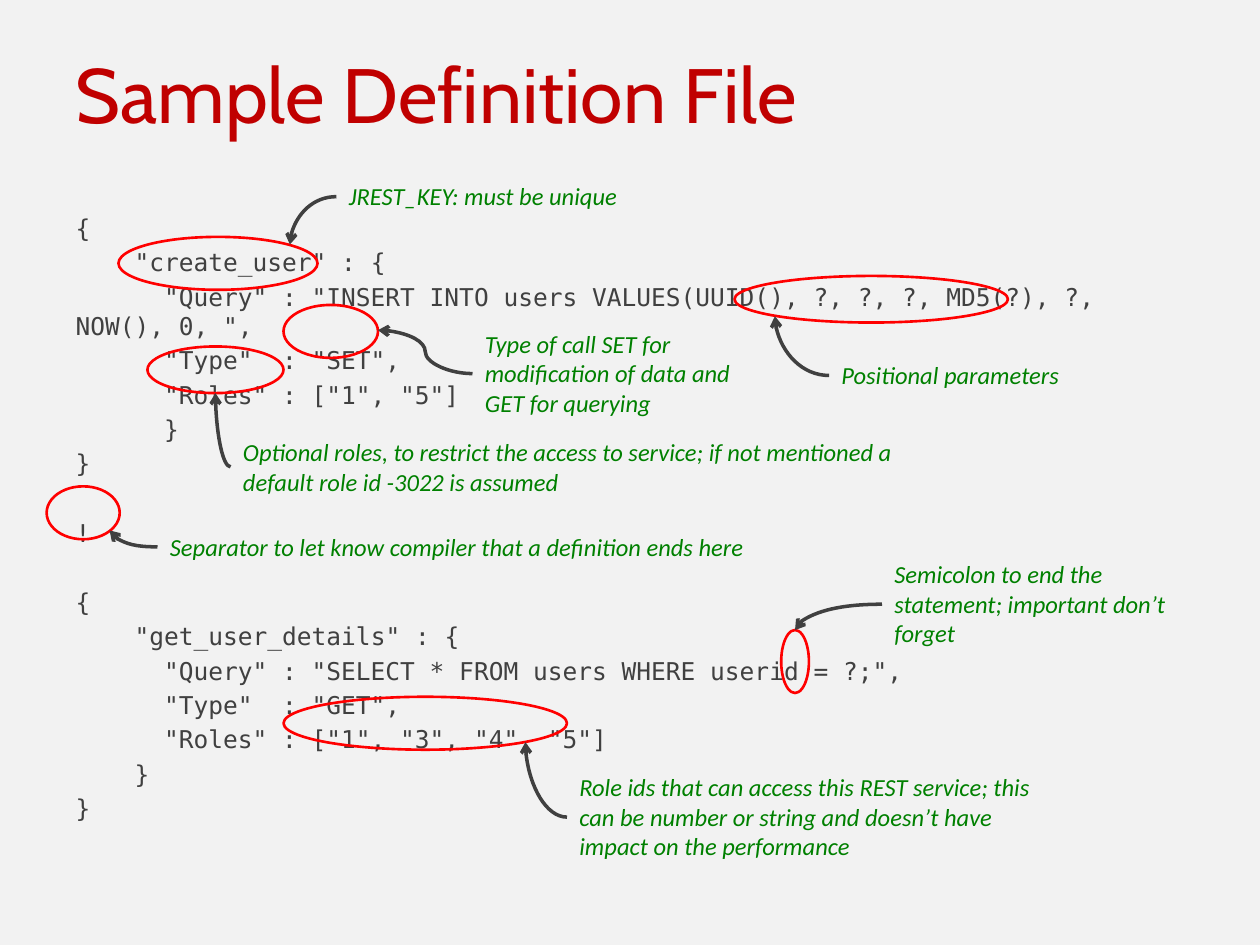
from dataclasses import dataclass

from lxml import etree
from pptx import Presentation
from pptx.dml.color import RGBColor
from pptx.enum import shapes, text
from pptx.oxml import ns
from pptx.util import Inches, Pt


@dataclass(frozen=True)
class Theme:
    background: str = "F2F2F2"
    heading: str = "C00000"
    ink: str = "404040"
    note: str = "008000"
    ring: str = "FF0000"
    heading_font: str = "Cabin"
    code_font: str = "DejaVu Sans Mono"
    note_font: str = "Calibri"
    heading_size: float = 44
    body_size: float = 14
    code_gap: float = 22.8
    code_column: float = 0.117
    ring_width: float = 1.5
    arrow_width: float = 2


def rgb(value):
    return RGBColor.from_string(value)


def place(shape, left, top, width, height):
    shape.left, shape.top = Inches(left), Inches(top)
    shape.width, shape.height = Inches(width), Inches(height)


class AnnotatedSlide:
    def __init__(self, presentation, theme):
        self.theme = theme
        self.slide = presentation.slides.add_slide(presentation.slide_layouts[1])
        fill = self.slide.background.fill
        fill.solid()
        fill.fore_color.rgb = rgb(theme.background)

    def style(self, paragraph, font, size, color, italic=None):
        paragraph.alignment = text.PP_ALIGN.LEFT
        paragraph.font.name = font
        paragraph.font.size = Pt(size)
        paragraph.font.color.rgb = rgb(color)
        paragraph.font.italic = italic

    def title(self, wording, box):
        heading = self.slide.shapes.title
        place(heading, *box)
        heading.text_frame.text = wording
        heading.text_frame.auto_size = text.MSO_AUTO_SIZE.NONE
        heading.text_frame.vertical_anchor = text.MSO_ANCHOR.MIDDLE
        self.style(heading.text_frame.paragraphs[0], self.theme.heading_font,
                   self.theme.heading_size, self.theme.heading)

    def code(self, sections, box):
        listing = self.slide.placeholders[1]
        place(listing, *box)
        frame = listing.text_frame
        frame.auto_size = text.MSO_AUTO_SIZE.NONE
        lines = [(number, *line) for number, section in enumerate(sections) for line in section]
        frame.text = "\n".join(wording for _, _, wording in lines)
        previous = 0
        for paragraph, (section, columns, _) in zip(frame.paragraphs, lines):
            self.style(paragraph, self.theme.code_font, self.theme.body_size, self.theme.ink)
            if section != previous:
                paragraph.space_before = Pt(self.theme.code_gap)
            previous = section
            properties = paragraph._p.get_or_add_pPr()
            properties.set("marL", "0")
            properties.set("indent", str(Inches(columns * self.theme.code_column)))
            properties.insert_element_before(
                properties.makeelement(ns.qn("a:buNone"), {}),
                "a:tabLst", "a:defRPr", "a:extLst")

    def ring(self, left, top, width, height, rotation=0):
        oval = self.slide.shapes.add_shape(
            shapes.MSO_SHAPE.OVAL, Inches(left), Inches(top), Inches(width), Inches(height))
        oval.rotation = rotation
        oval.shadow.inherit = False
        oval.fill.background()
        oval.line.color.rgb = rgb(self.theme.ring)
        oval.line.width = Pt(self.theme.ring_width)

    def note(self, wording, left, top, width, height, target, wrap=True, bend="curvedConnector2"):
        label = self.slide.shapes.add_textbox(
            Inches(left), Inches(top), Inches(width), Inches(height))
        frame = label.text_frame
        frame.text = wording
        frame.word_wrap = wrap
        frame.auto_size = text.MSO_AUTO_SIZE.SHAPE_TO_FIT_TEXT
        self.style(frame.paragraphs[0], self.theme.note_font,
                   self.theme.body_size, self.theme.note, italic=True)
        self.arrow((left, top + height / 2), target, bend)

    def arrow(self, start, end, bend):
        curve = self.slide.shapes.add_connector(
            shapes.MSO_CONNECTOR.CURVE, *(Inches(value) for value in (*start, *end)))
        curve.line.color.rgb = rgb(self.theme.ink)
        curve.line.width = Pt(self.theme.arrow_width)
        properties = curve._element.spPr
        properties.find(ns.qn("a:prstGeom")).set("prst", bend)
        turn = properties.find(ns.qn("a:xfrm"))
        turn.set("rot", "10800000")
        turn.set("flipH", "0")
        turn.set("flipV", "1" if end[1] > start[1] else "0")
        etree.SubElement(curve.line._get_or_add_ln(), ns.qn("a:tailEnd"), type="arrow")
        etree.SubElement(properties, ns.qn("a:effectLst"))


CODE = [
    [
        (0, '{'),
        (4, '"create_user" : {'),
        (6, '"Query" : "INSERT INTO users VALUES(UUID(), ?, ?, ?, MD5(?), ?, NOW(), 0, ",'),
        (6, '"Type"  : "SET",'),
        (6, '"Roles" : ["1", "5"]'),
        (6, '}'),
        (0, '}'),
    ],
    [(0, '!')],
    [
        (0, '{'),
        (4, '"get_user_details" : {'),
        (6, '"Query" : "SELECT * FROM users WHERE userid = ?;",'),
        (6, '"Type"  : "GET",'),
        (6, '"Roles" : ["1", "3", "4", "5"]'),
        (4, '}'),
        (0, '}'),
    ],
]

RINGS = [
    (0.94, 1.88, 1.58, 0.42),
    (6.06, 5.14, 0.5, 0.22, 270),
    (0.37, 3.86, 0.58, 0.42),
    (2.25, 2.42, 0.75, 0.42),
    (1.17, 2.75, 1.08, 0.37),
    (5.83, 2.19, 2.17, 0.37),
    (2.25, 5.53, 2.25, 0.42),
]

NOTES = [
    ("JREST_KEY: must be unique", 2.67, 1.39, 2.41, 0.34, (2.3, 1.94), False),
    ("Positional parameters", 6.58, 2.81, 2, 0.34, (6.15, 2.51), False),
    ("Type of call SET for modification of data and GET for querying",
     3.75, 2.56, 2.5, 0.81, (3, 2.62), True, "curvedConnector3"),
    ("Semicolon to end the statement; important don’t forget",
     7, 4.39, 2.58, 0.81, (6.31, 5)),
    ("Separator to let know compiler that a definition ends here",
     1.25, 4.17, 4.85, 0.34, (0.87, 4.21), False),
    ("Optional roles, to restrict the access to service; if not mentioned a "
     "default role id -3022 is assumed", 1.83, 3.42, 5.42, 0.57, (1.71, 3.12)),
    ("Role ids that can access this REST service; this can be number or string "
     "and doesn’t have impact on the performance", 4.5, 6.08, 3.96, 0.81, (4.17, 5.89)),
]


def main():
    presentation = Presentation()
    presentation.slide_width, presentation.slide_height = Inches(10), Inches(7.5)
    sample = AnnotatedSlide(presentation, Theme())
    sample.title("Sample Definition File", (0.5, 0.3, 9, 0.87))
    sample.code(CODE, (0.5, 1.64, 9, 5.83))
    for ring in RINGS:
        sample.ring(*ring)
    for note in NOTES:
        sample.note(*note)
    presentation.save("out.pptx")


if __name__ == "__main__":
    main()
